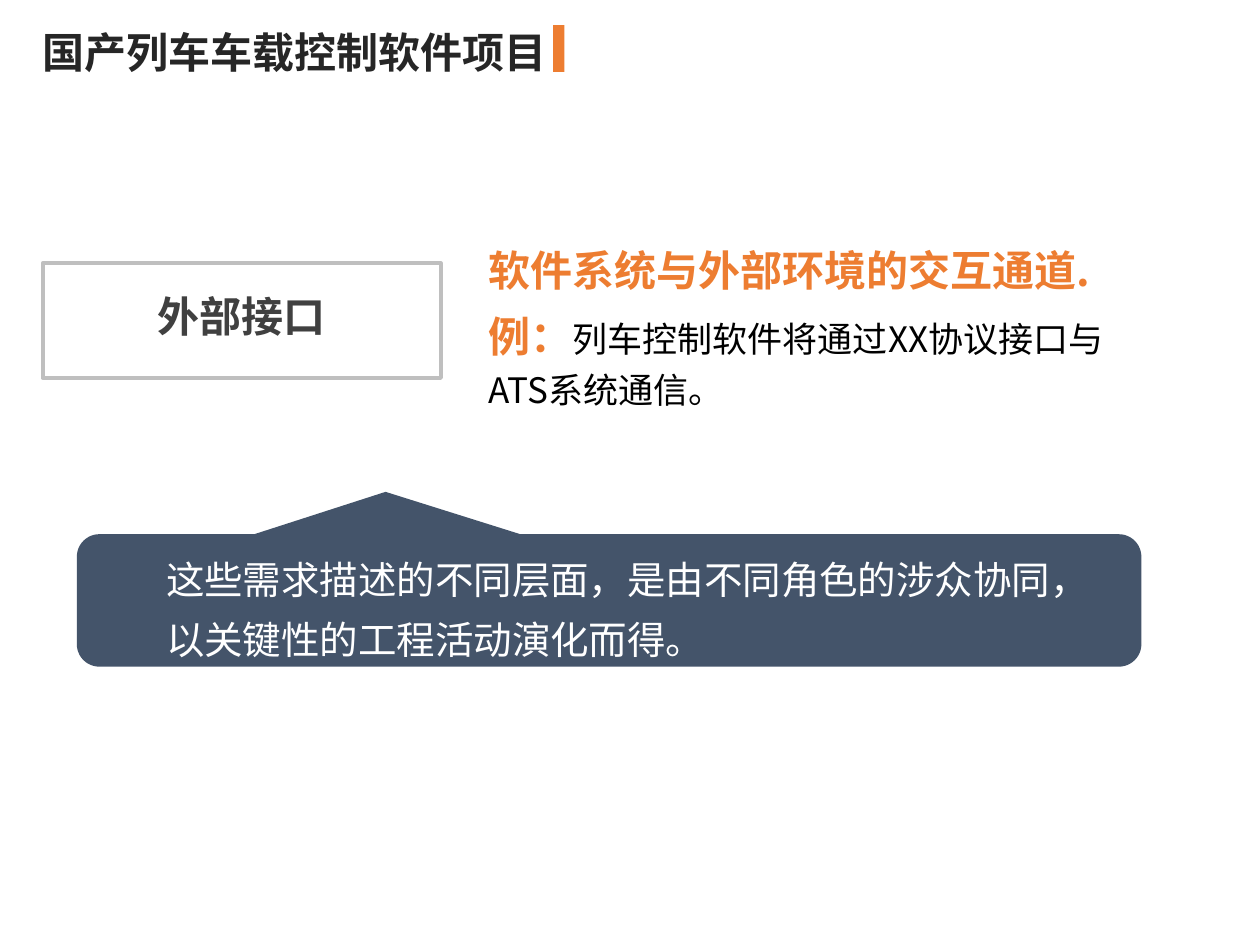
"""Build the slide on the external interface of the train control software project."""
from dataclasses import dataclass

from lxml.etree import SubElement
from pptx import Presentation
from pptx.dml.color import RGBColor
from pptx.enum.shapes import MSO_SHAPE
from pptx.enum.text import MSO_ANCHOR, PP_ALIGN
from pptx.oxml.ns import qn
from pptx.util import Cm, Pt

FONT = "Noto Sans CJK SC"
COLORS = {
    "slate": "44546A",
    "orange": "ED7D31",
    "border": "BFBFBF",
    "title": "262626",
    "label": "404040",
    "black": "000000",
    "white": "FFFFFF",
}


@dataclass
class Box:
    left: float
    top: float
    width: float
    height: float

    def lengths(self) -> tuple:
        return Cm(self.left), Cm(self.top), Cm(self.width), Cm(self.height)


@dataclass
class Run:
    text: str
    size: float
    color: str
    bold: bool = False


def rgb(name: str) -> RGBColor:
    return RGBColor.from_string(COLORS[name])


def write(sp, paragraphs: list[list[Run]], spacing: float = 1.0,
          align=PP_ALIGN.LEFT, wrap: bool = True, before: float = 0) -> None:
    tf = sp.text_frame
    tf.word_wrap = wrap
    tf.vertical_anchor = MSO_ANCHOR.TOP
    for i, runs in enumerate(paragraphs):
        p = tf.add_paragraph() if i else tf.paragraphs[0]
        p.alignment = align
        p.line_spacing = spacing
        p.space_before = Pt(before if i else 0)
        for run in runs:
            r = p.add_run()
            r.text = run.text
            r.font.size = Pt(run.size)
            r.font.bold = run.bold
            r.font.color.rgb = rgb(run.color)
            r.font.name = FONT
            SubElement(r.font._element, qn("a:ea"), typeface=FONT)


def add_block(s, kind, box: Box, fill: str = "", line: str = ""):
    sp = s.shapes.add_shape(kind, *box.lengths())
    sp.shadow.inherit = False
    if fill:
        sp.fill.solid()
        sp.fill.fore_color.rgb = rgb(fill)
    else:
        sp.fill.background()
    if line:
        sp.line.color.rgb = rgb(line)
        sp.line.width = Pt(2.25)
    else:
        sp.line.fill.background()
    return sp


def add_text(s, box: Box, paragraphs: list[list[Run]], **layout) -> None:
    write(s.shapes.add_textbox(*box.lengths()), paragraphs, **layout)


def main() -> None:
    prs = Presentation()
    prs.slide_width, prs.slide_height = Cm(25.4), Cm(19.05)
    s = prs.slides.add_slide(prs.slide_layouts[5])

    title = s.shapes.title
    title.left, title.top, title.width, title.height = Box(0.61, 0.41, 10.77, 1.27).lengths()
    write(title, [[Run("国产列车车载控制软件项目", 24, "title", True)]], wrap=False)
    add_block(s, MSO_SHAPE.RECTANGLE, Box(11.15, 0.51, 0.23, 0.94), fill="orange")

    callout = add_block(s, MSO_SHAPE.ROUNDED_RECTANGULAR_CALLOUT,
                        Box(1.55, 10.77, 21.46, 2.67), fill="slate")
    for i, value in enumerate((-0.21, -0.82, 0.17)):
        callout.adjustments[i] = value
    add_text(s, Box(3.1, 10.8, 19.25, 2.69), [
        [Run("这些需求描述的不同层面，是由不同角色的涉众协同，以关键性的工程活动演化而得。", 22, "white")],
    ], spacing=1.3)

    add_block(s, MSO_SHAPE.RECTANGLE, Box(0.86, 5.31, 8.03, 2.31), line="border")
    add_text(s, Box(2.9, 5.84, 3.94, 1.17), [[Run("外部接口", 24, "label", True)]],
             spacing=0.9, align=PP_ALIGN.CENTER, wrap=False)
    add_text(s, Box(9.6, 4.6, 13.39, 4.98), [
        [Run("软件系统与外部环境的交互通道.", 24, "orange", True)],
        [Run("例：", 24, "orange", True),
         Run("列车控制软件将通过XX协议接口与ATS系统通信。", 20, "black")],
    ], spacing=1.2, before=3)

    prs.save("out.pptx")


if __name__ == "__main__":
    main()
